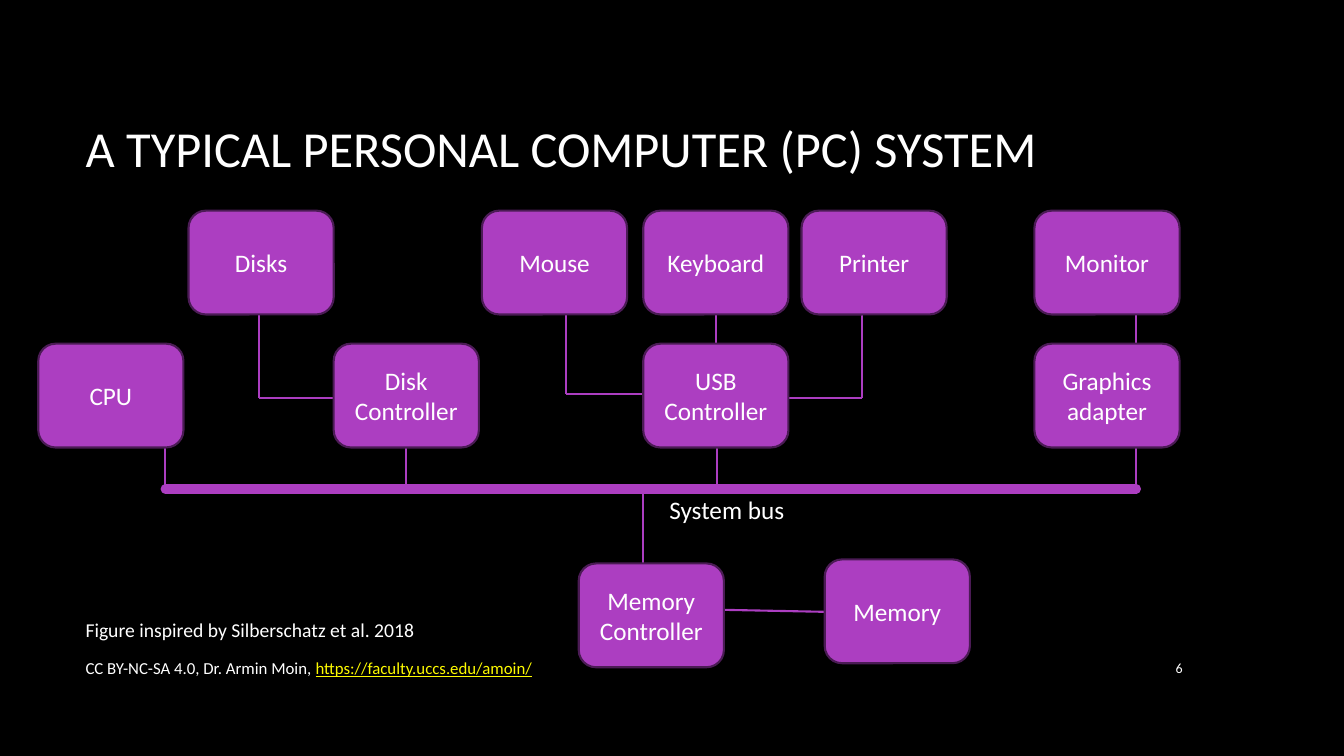
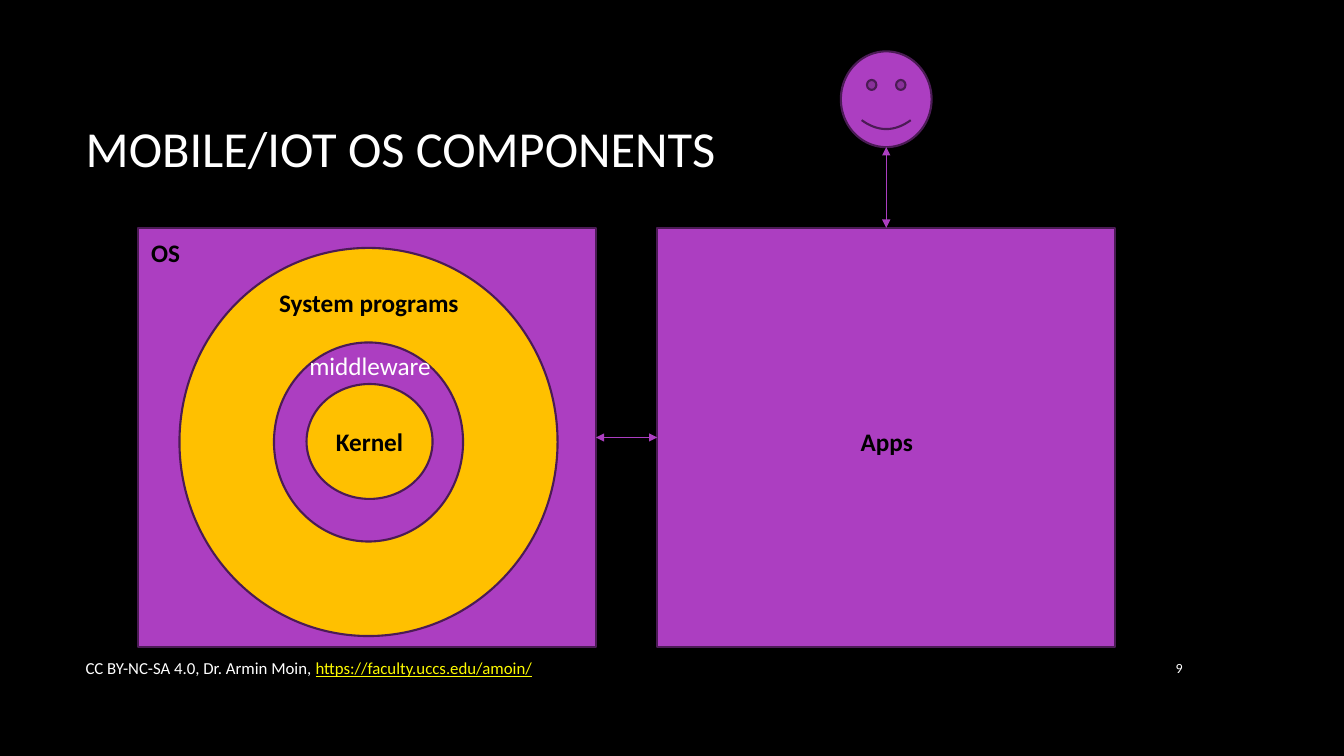
import pptx
import pptx.util
import pptx.dml.color
import pptx.enum.shapes
import pptx.enum.text
import pptx.oxml.ns
import lxml.etree

RGBColor = pptx.dml.color.RGBColor
Shape = pptx.enum.shapes.MSO_SHAPE
Align = pptx.enum.text.PP_ALIGN
Anchor = pptx.enum.text.MSO_ANCHOR

BLACK = RGBColor(0x00, 0x00, 0x00)
WHITE = RGBColor(0xFF, 0xFF, 0xFF)
PURPLE = RGBColor(0xAC, 0x3E, 0xC1)
DARK_PURPLE = RGBColor(0x4B, 0x1B, 0x55)
AMBER = RGBColor(0xFF, 0xC0, 0x00)
LINK_YELLOW = RGBColor(0xFE, 0xFB, 0x00)

FONT = "Calibri"
EMU_PER_PX = 9144  # 100 px to the inch
MARGIN = 75
TITLE_ONLY = 5


def px(length):
    return pptx.util.Emu(int(length * EMU_PER_PX))


class Deck:
    """Holds the shared style and the slide being built."""

    def __init__(self):
        self.presentation = pptx.Presentation()
        self.presentation.slide_width = px(1333)
        self.presentation.slide_height = px(750)
        background = self.presentation.slide_master.background.fill
        background.solid()
        background.fore_color.rgb = BLACK
        self.slide = None

    def add_slide(self, title, number):
        layout = self.presentation.slide_layouts[TITLE_ONLY]
        self.slide = self.presentation.slides.add_slide(layout)
        shape = self.slide.shapes.title
        shape.left, shape.top = px(MARGIN), px(67)
        shape.width, shape.height = px(1108), px(159)
        self.set_text(shape, title, size=36, align=Align.LEFT)
        self.footer(number)

    def set_text(self, shape, text, size=18, color=WHITE, bold=False,
                 align=Align.CENTER, anchor=Anchor.MIDDLE):
        frame = shape.text_frame
        frame.word_wrap = True
        frame.auto_size = pptx.enum.text.MSO_AUTO_SIZE.NONE
        frame.vertical_anchor = anchor
        frame.text = text
        for paragraph in frame.paragraphs:
            paragraph.alignment = align
            font = paragraph.font
            font.name, font.size, font.bold = FONT, pptx.util.Pt(size), bold
            font.color.rgb = color

    def label(self, text, left, top, width, height=40, align=Align.LEFT,
              anchor=Anchor.TOP, **style):
        shape = self.slide.shapes.add_textbox(
            px(left), px(top), px(width), px(height))
        self.set_text(shape, text, align=align, anchor=anchor, **style)
        return shape

    def footer(self, number):
        credit = self.label("CC BY-NC-SA 4.0, Dr. Armin Moin, ", MARGIN, 642,
                            856, 41, anchor=Anchor.MIDDLE, size=12)
        link = credit.text_frame.paragraphs[0].add_run()
        link.text = "https://faculty.uccs.edu/amoin/"
        link.font.underline = True
        link.font.color.rgb = LINK_YELLOW
        self.label(str(number), 1123, 642, 60, 41, align=Align.RIGHT,
                   anchor=Anchor.MIDDLE, size=10)

    def shape(self, kind, left, top, width, height, fill=PURPLE, text="",
              **style):
        shape = self.slide.shapes.add_shape(
            kind, px(left), px(top), px(width), px(height))
        shape.shadow.inherit = False
        shape.fill.solid()
        shape.fill.fore_color.rgb = fill
        shape.line.color.rgb = DARK_PURPLE
        shape.line.width = pptx.util.Pt(1.5)
        if text:
            self.set_text(shape, text, **style)

    def wire(self, *points, width=1.5, arrows=False, round_cap=False):
        """Join the points with straight segments."""
        qn = pptx.oxml.ns.qn
        for start, end in zip(points, points[1:]):
            connector = self.slide.shapes.add_connector(
                pptx.enum.shapes.MSO_CONNECTOR.STRAIGHT,
                *map(px, start + end))
            connector.line.color.rgb = PURPLE
            connector.line.width = pptx.util.Pt(width)
            properties = connector.element.spPr
            line = properties.find(qn("a:ln"))
            if round_cap:
                line.set("cap", "rnd")
            if arrows:
                for tag in ("a:headEnd", "a:tailEnd"):
                    lxml.etree.SubElement(line, qn(tag), type="triangle")
            lxml.etree.SubElement(properties, qn("a:effectLst"))


def build_pc_system(deck):
    deck.add_slide("A TYPICAL PERSONAL COMPUTER (PC) SYSTEM", 6)
    box_width, box_height = 144, 103
    device_top, controller_top, bus = 209, 341, 485
    device_bottom = device_top + box_height
    controller_bottom = controller_top + box_height
    usb_left, graphics_left = 638, 1026
    bus_left, bus_right = 164, 1127

    # System bus and the drops onto it
    deck.wire((bus_left, bus), (bus_right, bus), width=6.75, round_cap=True)
    for x in (bus_left, 403, 711, bus_right):
        deck.wire((x, controller_bottom), (x, bus))
    deck.wire((638, bus), (638, 559))
    deck.label("System bus", 654, 485, 140)

    # Devices to controllers
    deck.wire((257, device_bottom), (257, 395), (331, 395))
    deck.wire((561, device_bottom), (561, 391), (usb_left, 391))
    deck.wire((855, device_bottom), (855, 395), (usb_left + box_width, 395))
    for x in (710, bus_right):
        deck.wire((x, device_bottom), (x, controller_top))
    deck.wire((718, 605), (818, 607))

    # Boxes
    boxes = [
        ("Disks", 187, device_top),
        ("Mouse", 478, device_top),
        ("Keyboard", usb_left, device_top),
        ("Printer", 795, device_top),
        ("Monitor", graphics_left, device_top),
        ("CPU", 38, controller_top),
        ("Disk Controller", 331, controller_top),
        ("USB Controller", usb_left, controller_top),
        ("Graphics adapter", graphics_left, controller_top),
        ("Memory\nController", 574, 559),
        ("Memory", 818, 555),
    ]
    for text, left, top in boxes:
        deck.shape(Shape.ROUNDED_RECTANGLE, left, top, box_width, box_height,
                   text=text)

    deck.label("Figure inspired by Silberschatz et al. 2018", MARGIN, 608,
               377, 34, size=14)


def build_mobile_os(deck):
    deck.add_slide("MOBILE/IOT OS COMPONENTS", 9)
    panel_top, panel_width, panel_height = 226, 454, 416
    os_left, apps_left = 137, 652
    user_x = 879
    dark_bold = {"color": BLACK, "bold": True}

    # Panels with the OS rings
    for left in (os_left, apps_left):
        deck.shape(Shape.RECTANGLE, left, panel_top, panel_width, panel_height)
    deck.shape(Shape.OVAL, 304, 381, 125, 114, AMBER, "Kernel", **dark_bold)
    deck.shape(Shape.DONUT, 178, 246, 375, 385, AMBER)

    # Labels
    deck.label("Apps", 754, 418, 251, align=Align.CENTER, **dark_bold)
    deck.label("System programs", 267, 280, 251, **dark_bold)
    deck.label("OS", 140, 231, 68, **dark_bold)
    deck.label("middleware", 297, 343, 151)

    # User and the two-way links
    deck.shape(Shape.SMILEY_FACE, user_x - 45, 51, 90, 95)
    deck.wire((user_x, 146), (user_x, panel_top), width=0.75, arrows=True)
    deck.wire((apps_left, 434), (os_left + panel_width, 434), width=0.75,
              arrows=True)


def main():
    deck = Deck()
    build_pc_system(deck)
    build_mobile_os(deck)
    deck.presentation.save("out.pptx")


if __name__ == "__main__":
    main()
